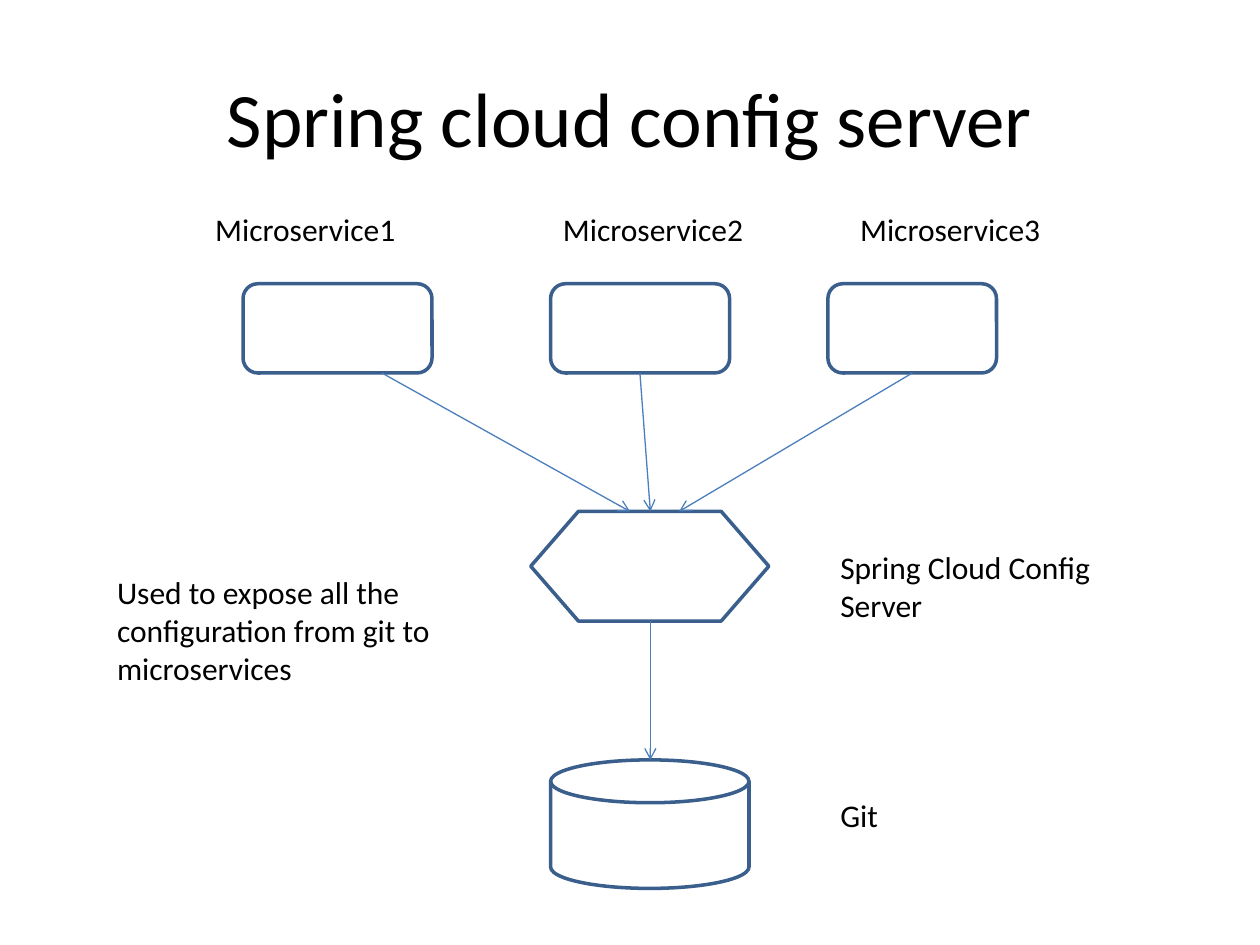
from dataclasses import dataclass

from lxml import etree
from pptx import Presentation
from pptx.dml.color import RGBColor
from pptx.enum.shapes import MSO_CONNECTOR, MSO_SHAPE
from pptx.enum.text import MSO_ANCHOR, MSO_AUTO_SIZE, PP_ALIGN
from pptx.oxml.ns import qn
from pptx.slide import Slide
from pptx.text.text import TextFrame
from pptx.util import Cm, Pt

ROUNDED = MSO_SHAPE.ROUNDED_RECTANGLE
HEXAGON = MSO_SHAPE.FLOWCHART_PREPARATION
DISK = MSO_SHAPE.FLOWCHART_MAGNETIC_DISK
STRAIGHT = MSO_CONNECTOR.STRAIGHT
CENTER = PP_ALIGN.CENTER
MIDDLE = MSO_ANCHOR.MIDDLE
FIT_TEXT = MSO_AUTO_SIZE.SHAPE_TO_FIT_TEXT

BLACK = RGBColor(0x00, 0x00, 0x00)
WHITE = RGBColor(0xFF, 0xFF, 0xFF)
OUTLINE = RGBColor(0x3A, 0x5F, 0x8C)
ARROW = RGBColor(0x4B, 0x7E, 0xBC)
FONT = "Calibri"

SERVICE_TOP, SERVICE_HEIGHT = 5.72, 1.8
SERVER_TOP, SERVER_HEIGHT = 10.31, 2.21
DISK_TOP = 15.32
LABEL_TOP, LABEL_HEIGHT = 4.11, 1.02
SERVICE_BOTTOM = SERVICE_TOP + SERVICE_HEIGHT
SERVER_BOTTOM = SERVER_TOP + SERVER_HEIGHT
AXIS = 13.11
RIGHT = 16.69


@dataclass
class Node:
    kind: MSO_SHAPE
    left: float
    top: float
    width: float
    height: float


@dataclass
class Label:
    text: str
    left: float
    top: float
    width: float
    height: float


@dataclass
class Arrow:
    x1: float
    y1: float
    x2: float
    y2: float


NODES = [
    *(Node(ROUNDED, left, SERVICE_TOP, width, SERVICE_HEIGHT)
      for left, width in ((4.9, 3.81), (11.1, 3.61), (RIGHT, 3.4))),
    Node(HEXAGON, 10.7, SERVER_TOP, 4.8, SERVER_HEIGHT),
    Node(DISK, 11.1, DISK_TOP, 4, 2.59),
]

ARROWS = [
    *(Arrow(x1, SERVICE_BOTTOM, x2, SERVER_TOP)
      for x1, x2 in ((12.9, AXIS), (7.7, 12.7), (18.39, 13.69))),
    Arrow(AXIS, SERVER_BOTTOM, AXIS, DISK_TOP),
]

LABELS = [
    *(Label(f"Microservice{i}", left, LABEL_TOP, 4.6, LABEL_HEIGHT)
      for i, left in enumerate((4.09, 11.1, 17.09), 1)),
    Label("Spring Cloud Config Server", RIGHT, 10.92, 6.6, 1.8),
    Label("Git", RIGHT, 15.93, 4.6, LABEL_HEIGHT),
    Label("Used to expose all the configuration from git to microservices",
          2.11, 11.43, 7.8, 2.57),
]


def set_text(tf: TextFrame, text: str, size: int) -> None:
    tf.text = text
    tf.word_wrap = True
    font = tf.paragraphs[0].runs[0].font
    font.name = FONT
    font.size = Pt(size)
    font.color.rgb = BLACK


def add_title(s: Slide, text: str) -> None:
    title = s.shapes.title
    title.left, title.top = Cm(1.27), Cm(0.76)
    title.width, title.height = Cm(22.86), Cm(3.18)
    tf = title.text_frame
    set_text(tf, text, 44)
    tf.vertical_anchor = MIDDLE
    tf.paragraphs[0].alignment = CENTER


def add_node(s: Slide, node: Node) -> None:
    sp = s.shapes.add_shape(node.kind, Cm(node.left), Cm(node.top),
                            Cm(node.width), Cm(node.height))
    sp.shadow.inherit = False
    sp.fill.solid()
    sp.fill.fore_color.rgb = WHITE
    sp.line.color.rgb = OUTLINE
    sp.line.width = Pt(2)


def add_arrow(s: Slide, arrow: Arrow) -> None:
    cxn = s.shapes.add_connector(STRAIGHT, Cm(arrow.x1), Cm(arrow.y1),
                                 Cm(arrow.x2), Cm(arrow.y2))
    cxn.line.color.rgb = ARROW
    cxn.line.width = Pt(0.75)
    etree.SubElement(cxn.line._get_or_add_ln(), qn("a:tailEnd"), type="arrow")
    etree.SubElement(cxn._element.spPr, qn("a:effectLst"))


def add_label(s: Slide, label: Label) -> None:
    sp = s.shapes.add_textbox(Cm(label.left), Cm(label.top),
                              Cm(label.width), Cm(label.height))
    set_text(sp.text_frame, label.text, 18)
    sp.text_frame.auto_size = FIT_TEXT


def main() -> None:
    prs = Presentation()
    prs.slide_width, prs.slide_height = Cm(25.4), Cm(19.05)
    s = prs.slides.add_slide(prs.slide_layouts[5])
    add_title(s, "Spring cloud config server")
    for node in NODES:
        add_node(s, node)
    for arrow in ARROWS:
        add_arrow(s, arrow)
    for label in LABELS:
        add_label(s, label)
    prs.save("out.pptx")


if __name__ == "__main__":
    main()
